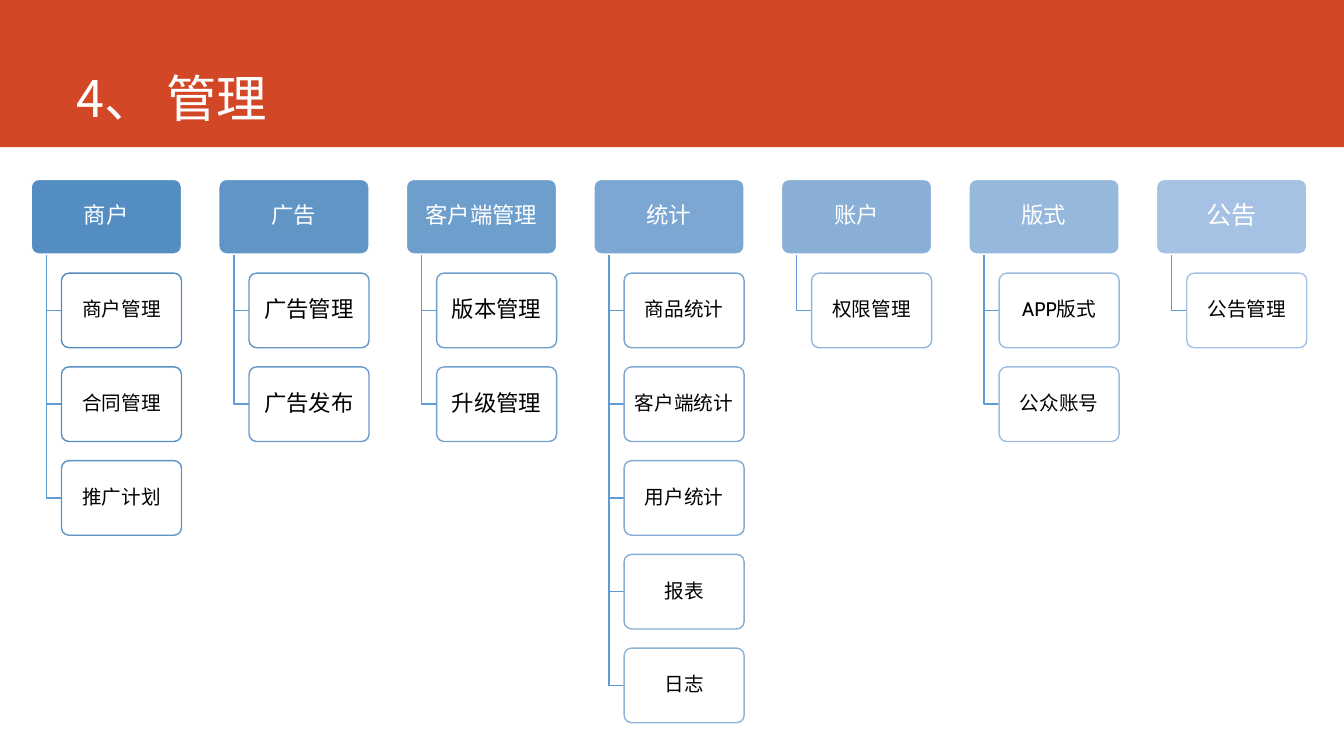
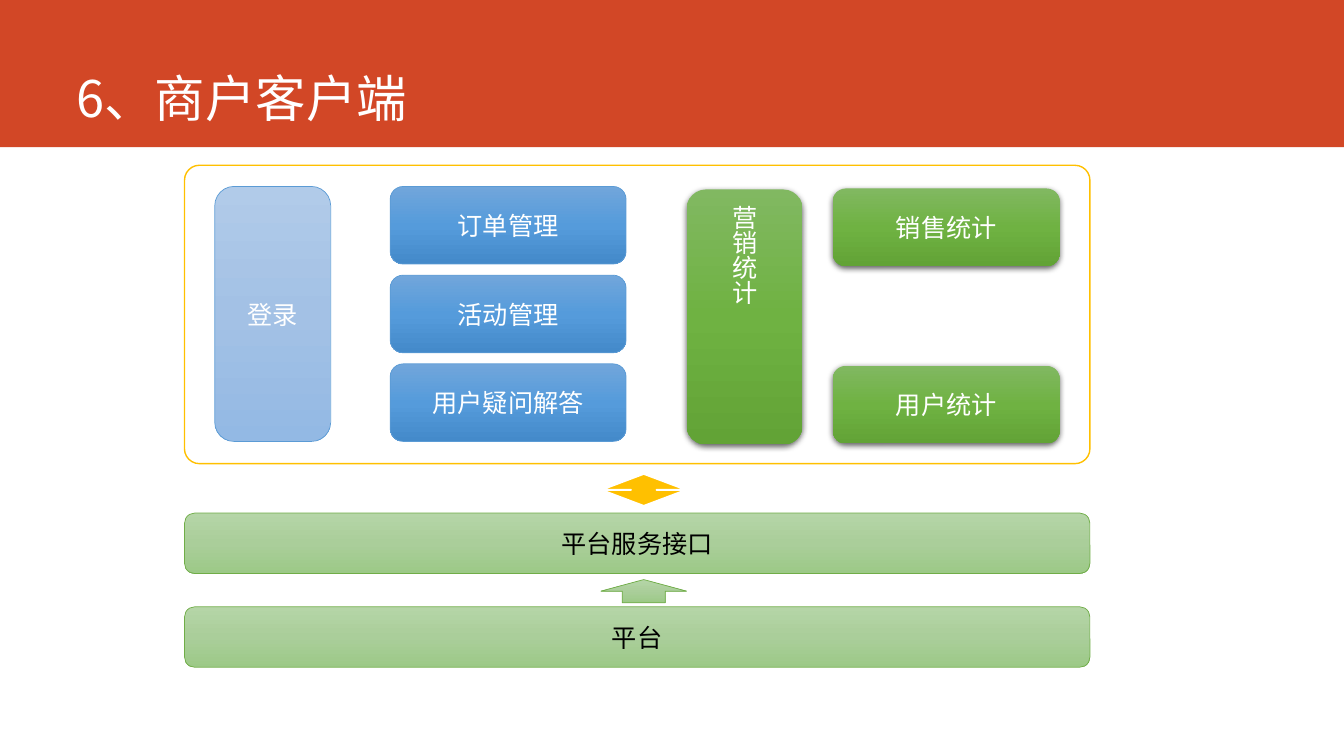
import copy

import pptx
import pptx.dml.color
import pptx.enum.shapes
import pptx.enum.text
import pptx.oxml
import pptx.oxml.ns
import pptx.util

PX = 9144
SLIDE_W, SLIDE_H = 1333, 750
LATIN, CJK = "Cabin", "Noto Sans CJK SC"
COLORS = {
    "band": "D24726", "white": "FFFFFF", "black": "000000",
    "tree_first": "538DC1", "tree_last": "A5C1E3", "elbow": "5F9CD5",
    "amber": "FFC000", "blue": "5B9BD5", "green": "70AD47",
}
GRADIENTS = {
    "pale_green": ("B5D5A7", "AACE9A", "9CC987"),
    "pale_blue": ("B1CBE9", "A3C1E5", "93B9E4"),
    "blue": ("71A6DB", "559BDB", "448ACA"),
    "green": ("81B861", "6FB242", "62A336"),
}

TREE_TITLE = "4、 管理"
TREE = [
    ("商户", 16, 14, ["商户管理", "合同管理", "推广计划"]),
    ("广告", 16, 16, ["广告管理", "广告发布"]),
    ("客户端管理", 16, 16, ["版本管理", "升级管理"]),
    ("统计", 16, 14, ["商品统计", "客户端统计", "用户统计", "报表", "日志"]),
    ("账户", 16, 14, ["权限管理"]),
    ("版式", 16, 14, ["APP版式", "公众账号"]),
    ("公告", 18, 14, ["公告管理"]),
]
TREE_LEFT, TREE_TOP = 31, 178
COLUMN_STEP, ROW_STEP = 186, 93
HEAD_W, CHILD_W, BOX_H = 149, 119, 74
TRUNK_DX, CHILD_DX = 15, 30

CLIENT_TITLE = "6、商户客户端"
LAYERS_LEFT, LAYERS_W, LAYER_H = 183, 898, 60
LAYERS = [("平台", 602), ("平台服务接口", 509)]
FRAME = (LAYERS_LEFT, 164, LAYERS_W, 296)
EXCHANGE_ARROW = (596, 470, 85, 32)
SUPPORT_ARROW = (596, 575, 85, 23)
LOGIN = ("登录", (213, 185, 115, 253))
TASKS = ["订单管理", "活动管理", "用户疑问解答"]
TASK_LEFT, TASK_TOP, TASK_W, TASK_H, TASK_STEP = 387, 185, 234, 77, 88
STATS = [
    ("营销统计", (681, 188, 115, 253), True),
    ("销售统计", (826, 187, 225, 77), False),
    ("用户统计", (826, 363, 225, 77), False),
]

KINDS = pptx.enum.shapes.MSO_SHAPE
ROUND = KINDS.ROUNDED_RECTANGLE


def rgb(name):
    return pptx.dml.color.RGBColor.from_string(COLORS.get(name, name))


def blend(first, last, share):
    pairs = zip(rgb(first), rgb(last))
    return "".join(f"{int(a + (b - a) * share):02X}" for a, b in pairs)


def write(s, text, size, color, align="CENTER", anchor="MIDDLE", latin=LATIN,
          inset=None, spacing=None):
    tf = s.text_frame
    tf.word_wrap = True
    tf.vertical_anchor = getattr(pptx.enum.text.MSO_ANCHOR, anchor)
    if inset is not None:
        tf.margin_left = tf.margin_right = inset * PX
        tf.margin_top = tf.margin_bottom = inset * PX
    p = tf.paragraphs[0]
    p.alignment = getattr(pptx.enum.text.PP_ALIGN, align)
    if spacing:
        p.line_spacing = spacing
    r = p.add_run()
    r.text = text
    r.font.size = pptx.util.Pt(size)
    r.font.color.rgb = rgb(color)
    r.font.name = latin
    ea = pptx.oxml.parse_xml(
        f'<a:ea {pptx.oxml.ns.nsdecls("a")} typeface="{CJK}"/>')
    r.font._element.append(ea)


def paint(s, fill, line, width):
    s.shadow.inherit = False
    if fill is None:
        s.fill.background()
    elif fill in GRADIENTS.values():
        s.fill.gradient()
        s.fill.gradient_angle = 270
        stops = s._element.spPr.find(".//" + pptx.oxml.ns.qn("a:gsLst"))
        stops.append(copy.deepcopy(stops[0]))
        for i, stop in enumerate(s.fill.gradient_stops):
            stop.position = i / 2
            stop.color.rgb = rgb(fill[i])
    else:
        s.fill.solid()
        s.fill.fore_color.rgb = rgb(fill)
    if line:
        s.line.color.rgb = rgb(line)
        s.line.width = pptx.util.Pt(width)
    else:
        s.line.fill.background()


def add_box(slide, box, fill, line=None, width=1, kind=ROUND, adjust=()):
    s = slide.shapes.add_shape(kind, *(n * PX for n in box))
    for i, value in enumerate(adjust):
        s.adjustments[i] = value
    paint(s, fill, line, width)
    return s


def add_elbow(slide, x, top, bottom, right):
    builder = slide.shapes.build_freeform(x, top, PX)
    builder.add_line_segments([(x, bottom), (right, bottom)], close=False)
    paint(builder.convert_to_shape(), None, "elbow", 1)


def cast_shadow(s):
    effects = s._element.spPr.find(pptx.oxml.ns.qn("a:effectLst"))
    effects.append(pptx.oxml.parse_xml(
        f'<a:outerShdw {pptx.oxml.ns.nsdecls("a")} blurRad="57150" '
        'dist="19050" dir="5400000" algn="ctr" rotWithShape="0">'
        '<a:srgbClr val="000000"><a:alpha val="63000"/></a:srgbClr>'
        '</a:outerShdw>'))


def add_titled_slide(prs, title):
    slide = prs.slides.add_slide(prs.slide_layouts[6])
    add_box(slide, (0, 0, SLIDE_W, 146), "band", kind=KINDS.RECTANGLE)
    s = slide.shapes.add_textbox(*(n * PX for n in (66, 0, 1176, 132)))
    write(s, title, 36, "white", "LEFT", "BOTTOM", CJK, spacing=0.9)
    return slide


def build_tree(prs):
    slide = add_titled_slide(prs, TREE_TITLE)
    last_child = sum(len(children) for *_, children in TREE) - 1
    child_index = 0
    for col, (head, head_size, child_size, children) in enumerate(TREE):
        x = TREE_LEFT + col * COLUMN_STEP
        color = blend("tree_first", "tree_last", col / (len(TREE) - 1))
        s = add_box(slide, (x, TREE_TOP, HEAD_W, BOX_H), color, "white",
                    adjust=[0.1])
        write(s, head, head_size, "white", inset=5, spacing=0.9)
        for row, child in enumerate(children, 1):
            y = TREE_TOP + row * ROW_STEP
            color = blend("tree_first", "tree_last", child_index / last_child)
            add_elbow(slide, x + TRUNK_DX, TREE_TOP + BOX_H + 1,
                      y + BOX_H // 2, x + CHILD_DX)
            s = add_box(slide, (x + CHILD_DX, y, CHILD_W, BOX_H), "white",
                        color, adjust=[0.1])
            write(s, child, child_size, "black", inset=5, spacing=0.9)
            child_index += 1


def build_client(prs):
    slide = add_titled_slide(prs, CLIENT_TITLE)
    for text, y in LAYERS:
        s = add_box(slide, (LAYERS_LEFT, y, LAYERS_W, LAYER_H),
                    GRADIENTS["pale_green"], "green", 0.5)
        write(s, text, 18, "black")
    add_box(slide, FRAME, "white", "amber", adjust=[0.05])
    add_box(slide, EXCHANGE_ARROW, "amber", "white", 1.5,
            KINDS.UP_DOWN_ARROW, [0.46, 0.3])
    add_box(slide, SUPPORT_ARROW, GRADIENTS["pale_green"], "green", 0.5,
            KINDS.UP_ARROW)

    text, box = LOGIN
    write(add_box(slide, box, GRADIENTS["pale_blue"], "blue", 0.5),
          text, 18, "white")
    for i, text in enumerate(TASKS):
        box = (TASK_LEFT, TASK_TOP + i * TASK_STEP, TASK_W, TASK_H)
        write(add_box(slide, box, GRADIENTS["blue"], "blue", 0.5),
              text, 18, "white")
    for text, box, vertical in STATS:
        s = add_box(slide, box, GRADIENTS["green"])
        cast_shadow(s)
        write(s, text, 18, "white")
        if vertical:
            s.text_frame._txBody.bodyPr.set("vert", "eaVert")


def main():
    prs = pptx.Presentation()
    prs.slide_width, prs.slide_height = SLIDE_W * PX, SLIDE_H * PX
    build_tree(prs)
    build_client(prs)
    prs.save("out.pptx")


if __name__ == "__main__":
    main()
